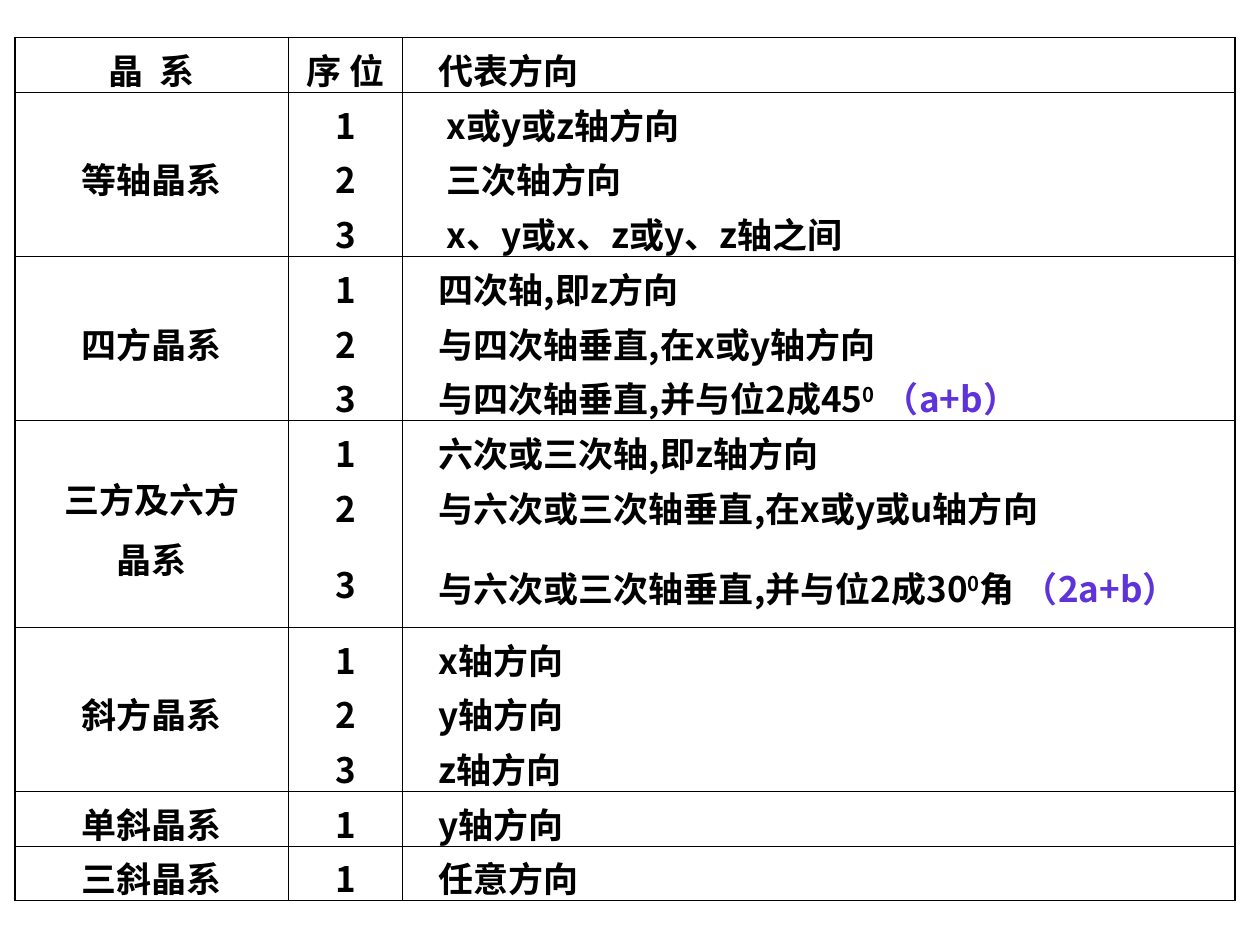
from lxml.etree import SubElement
from pptx import Presentation
from pptx.dml.color import RGBColor
from pptx.enum.text import MSO_ANCHOR as Anchor, PP_ALIGN as Align
from pptx.oxml.ns import qn
from pptx.util import Pt

FONT = "Noto Sans CJK SC"
BLACK, VIOLET = "000000", "5E33D9"
THIN, THICK = 0.45, 1.08
COLUMN_WIDTHS = [156.2, 65.2, 475.9]
ROW_HEIGHT, TALL_HEIGHT = 31.2, 55.4
LINE_HEIGHT, TOP_MARGIN = 29, 3.6
INDENT, WIDE_INDENT = 13.4, 18
HEADINGS = ["晶  系", "序 位", "代表方向"]
SYSTEMS = [
    ("等轴晶系", WIDE_INDENT, ["x或y或z轴方向", "三次轴方向", "x、y或x、z或y、z轴之间"]),
    ("四方晶系", INDENT, [
        "四次轴,即z方向",
        "与四次轴垂直,在x或y轴方向",
        [("与四次轴垂直,并与位2成45", {}), ("0  ", {"raised": True}),
         ("（a+b）", {"color": VIOLET})],
    ]),
    ("三方及六方\n晶系", INDENT, [
        "六次或三次轴,即z轴方向",
        "与六次或三次轴垂直,在x或y或u轴方向",
        [("与六次或三次轴垂直,并与位2成30", {}), ("0", {"raised": True}),
         ("角 ", {}), ("（2a+b）", {"color": VIOLET})],
    ]),
    ("斜方晶系", INDENT, ["x轴方向", "y轴方向", "z轴方向"]),
    ("单斜晶系", INDENT, ["y轴方向"]),
    ("三斜晶系", INDENT, ["任意方向"]),
]


def rgb(color):
    """Turn a hex string into a colour."""
    return RGBColor.from_string(color)


def add_run(paragraph, text, color=BLACK, size=20, bold=True, raised=False):
    """Add a formatted run to a paragraph."""
    run = paragraph.add_run()
    run.text = text
    font = run.font
    font.name, font.size, font.bold = FONT, Pt(size), bold
    font.color.rgb = rgb(color)
    properties = font._element
    SubElement(properties, qn("a:ea"), typeface=FONT)
    if raised:
        properties.set("baseline", "30000")


def is_tall(content):
    """Tell whether a direction wraps onto a second line."""
    return not isinstance(content, str) and len(content) > 3


def write_cell(cell, content, align=Align.CENTER, indent=0):
    """Write text, or a list of runs, into a cell."""
    tall = is_tall(content)
    height = TALL_HEIGHT if tall else ROW_HEIGHT
    text_height = LINE_HEIGHT * (2 if tall else 1)
    cell.vertical_anchor = Anchor.MIDDLE
    cell.margin_left = cell.margin_right = Pt(7.2)
    cell.margin_top = Pt(TOP_MARGIN)
    cell.margin_bottom = Pt(height - text_height - TOP_MARGIN)
    lines = content.split("\n") if isinstance(content, str) else [content]
    for number, line in enumerate(lines):
        frame = cell.text_frame
        paragraph = frame.add_paragraph() if number else frame.paragraphs[0]
        paragraph.alignment = align
        if number:
            paragraph.space_before = Pt(5)
        if indent:
            paragraph._p.get_or_add_pPr().set("indent", str(Pt(indent)))
        for text, style in [(line, {})] if isinstance(line, str) else line:
            add_run(paragraph, text, **style)


def set_borders(cell, **widths):
    """Draw the sides of a cell, leaving out those of zero width."""
    properties = cell._tc.get_or_add_tcPr()
    for side in ("L", "R", "T", "B"):
        width = widths[side]
        line = SubElement(properties, qn(f"a:ln{side}"), w=str(Pt(width)))
        if width:
            fill = SubElement(line, qn("a:solidFill"))
            SubElement(fill, qn("a:srgbClr"), val=BLACK)
        else:
            SubElement(line, qn("a:noFill"))
    cell.fill.background()


def rule_group(table, first, last):
    """Rule the box of each column around a group of rows."""
    final_row, final_column = len(table.rows) - 1, len(table.columns) - 1
    for row in range(first, last + 1):
        for column in range(final_column + 1):
            top = THICK if row == 0 else THIN
            bottom = THICK if last == final_row else THIN
            closes = row == last or column == 0
            set_borders(
                table.cell(row, column),
                L=THIN if column else THICK,
                R=THICK if column == final_column else THIN,
                T=top if row == first else 0,
                B=bottom if closes else 0,
            )


def add_direction_table(slide, left, top):
    """Add the table of crystal systems and their directions."""
    heights = [ROW_HEIGHT]
    for _, _, directions in SYSTEMS:
        heights += [TALL_HEIGHT if is_tall(text) else ROW_HEIGHT for text in directions]
    table = slide.shapes.add_table(
        len(heights), len(COLUMN_WIDTHS), Pt(left), Pt(top),
        Pt(sum(COLUMN_WIDTHS)), Pt(sum(heights))).table
    table.first_row = table.horz_banding = False
    for column, width in zip(table.columns, COLUMN_WIDTHS):
        column.width = Pt(width)
    for row, height in zip(table.rows, heights):
        row.height = Pt(height)

    for column, heading in enumerate(HEADINGS[:2]):
        write_cell(table.cell(0, column), heading)
    write_cell(table.cell(0, 2), HEADINGS[2], align=Align.LEFT, indent=INDENT)
    rule_group(table, 0, 0)

    first = 1
    for system, indent, directions in SYSTEMS:
        last = first + len(directions) - 1
        if last > first:
            table.cell(first, 0).merge(table.cell(last, 0))
        write_cell(table.cell(first, 0), system)
        for position, direction in enumerate(directions):
            row = first + position
            write_cell(table.cell(row, 1), str(position + 1))
            write_cell(table.cell(row, 2), direction, align=Align.LEFT, indent=indent)
        rule_group(table, first, last)
        first = last + 1


def main():
    """Build the slide and save it."""
    presentation = Presentation()
    presentation.slide_width, presentation.slide_height = Pt(720), Pt(540)
    slide = presentation.slides.add_slide(presentation.slide_layouts[6])
    add_direction_table(slide, left=8.6, top=21.4)
    presentation.save("out.pptx")


if __name__ == "__main__":
    main()
